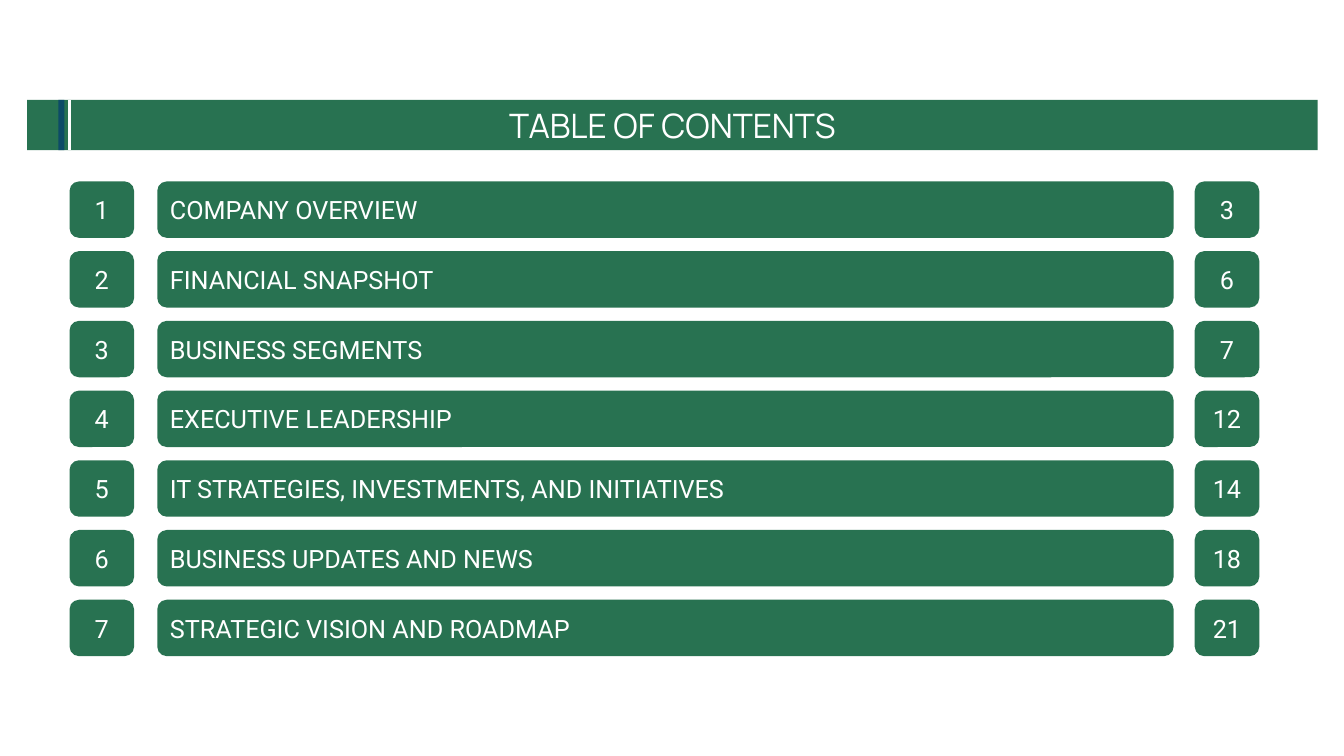
from dataclasses import dataclass

from pptx import Presentation
from pptx.dml.color import RGBColor
from pptx.enum.shapes import MSO_CONNECTOR, MSO_SHAPE
from pptx.enum.text import MSO_ANCHOR, PP_ALIGN
from pptx.oxml.ns import qn
from pptx.util import Inches, Pt
from lxml.etree import SubElement

GREEN, NAVY, WHITE = "287251", "0D4B67", "FFFFFF"
ROWS_TOP, LAST_ROW_TOP, ROW_H = 1.8, 5.95, 0.56
BANNER_TOP, BANNER_H = 0.99, 0.5


@dataclass
class Box:
    left: float
    top: float
    width: float
    height: float
    text: str = ""
    fill: str = GREEN
    shape: MSO_SHAPE = MSO_SHAPE.ROUNDED_RECTANGLE
    align: PP_ALIGN = PP_ALIGN.CENTER
    font: str = "Roboto"
    size: int = 18


@dataclass
class Entry:
    title: str
    page: int


ENTRIES = [
    Entry("COMPANY OVERVIEW", 3),
    Entry("FINANCIAL SNAPSHOT", 6),
    Entry("BUSINESS SEGMENTS", 7),
    Entry("EXECUTIVE LEADERSHIP", 12),
    Entry("IT STRATEGIES, INVESTMENTS, AND INITIATIVES", 14),
    Entry("BUSINESS UPDATES AND NEWS", 18),
    Entry("STRATEGIC VISION AND ROADMAP", 21),
]


def color(value: str) -> RGBColor:
    return RGBColor.from_string(value)


def add_box(slide, box: Box) -> None:
    sp = slide.shapes.add_shape(box.shape, Inches(box.left), Inches(box.top),
                                Inches(box.width), Inches(box.height))
    sp.shadow.inherit = False
    sp.fill.solid()
    sp.fill.fore_color.rgb = color(box.fill)
    sp.line.fill.background()
    if not box.text:
        return
    tf = sp.text_frame
    tf.word_wrap = True
    tf.vertical_anchor = MSO_ANCHOR.MIDDLE
    p = tf.paragraphs[0]
    p.text = box.text
    p.alignment = box.align
    font = p.runs[0].font
    font.name, font.size = box.font, Pt(box.size)
    font.color.rgb = color(WHITE)


def add_rule(slide, x: float, top: float, bottom: float) -> None:
    line = slide.shapes.add_connector(MSO_CONNECTOR.STRAIGHT, Inches(x), Inches(top),
                                      Inches(x), Inches(bottom))
    line.line.color.rgb = color(WHITE)
    line.line.width = Pt(1.5)
    SubElement(line._element.spPr, qn("a:effectLst"))


def main() -> None:
    prs = Presentation()
    prs.slide_width, prs.slide_height = Inches(13.33), Inches(7.5)
    s = prs.slides.add_slide(prs.slide_layouts[6])

    # Title banner
    add_box(s, Box(0.27, BANNER_TOP, 12.8, BANNER_H, "TABLE OF CONTENTS",
                   shape=MSO_SHAPE.RECTANGLE, font="Manrope", size=24))

    # Contents rows: number, title, page
    pitch = (LAST_ROW_TOP - ROWS_TOP) / (len(ENTRIES) - 1)
    for i, entry in enumerate(ENTRIES):
        top = ROWS_TOP + i * pitch
        add_box(s, Box(0.69, top, 0.64, ROW_H, str(i + 1)))
        add_box(s, Box(1.56, top, 10.08, ROW_H, entry.title, align=PP_ALIGN.LEFT))
        add_box(s, Box(11.85, top, 0.64, ROW_H, str(entry.page)))

    # Banner accents
    add_box(s, Box(0.58, BANNER_TOP, 0.06, BANNER_H, fill=NAVY, shape=MSO_SHAPE.RECTANGLE))
    add_rule(s, 0.69, BANNER_TOP, BANNER_TOP + BANNER_H)

    prs.save("out.pptx")


if __name__ == "__main__":
    main()
